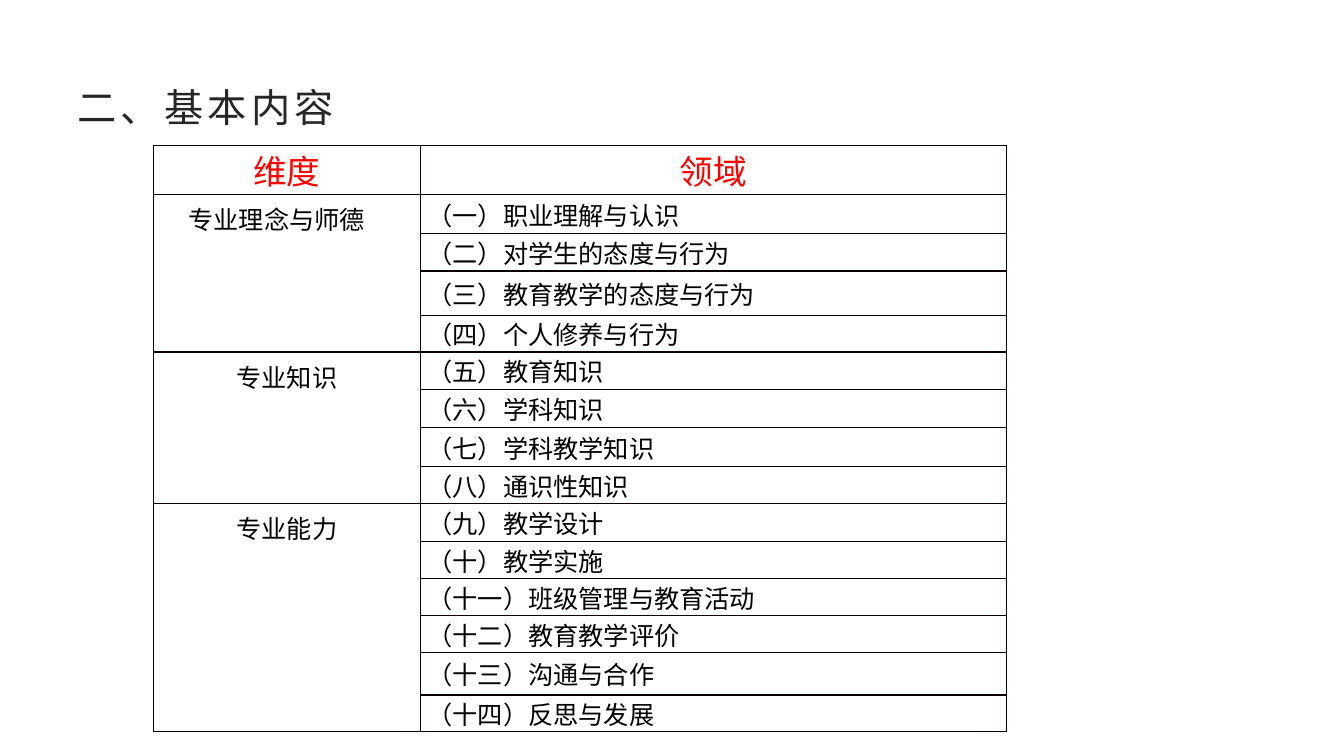
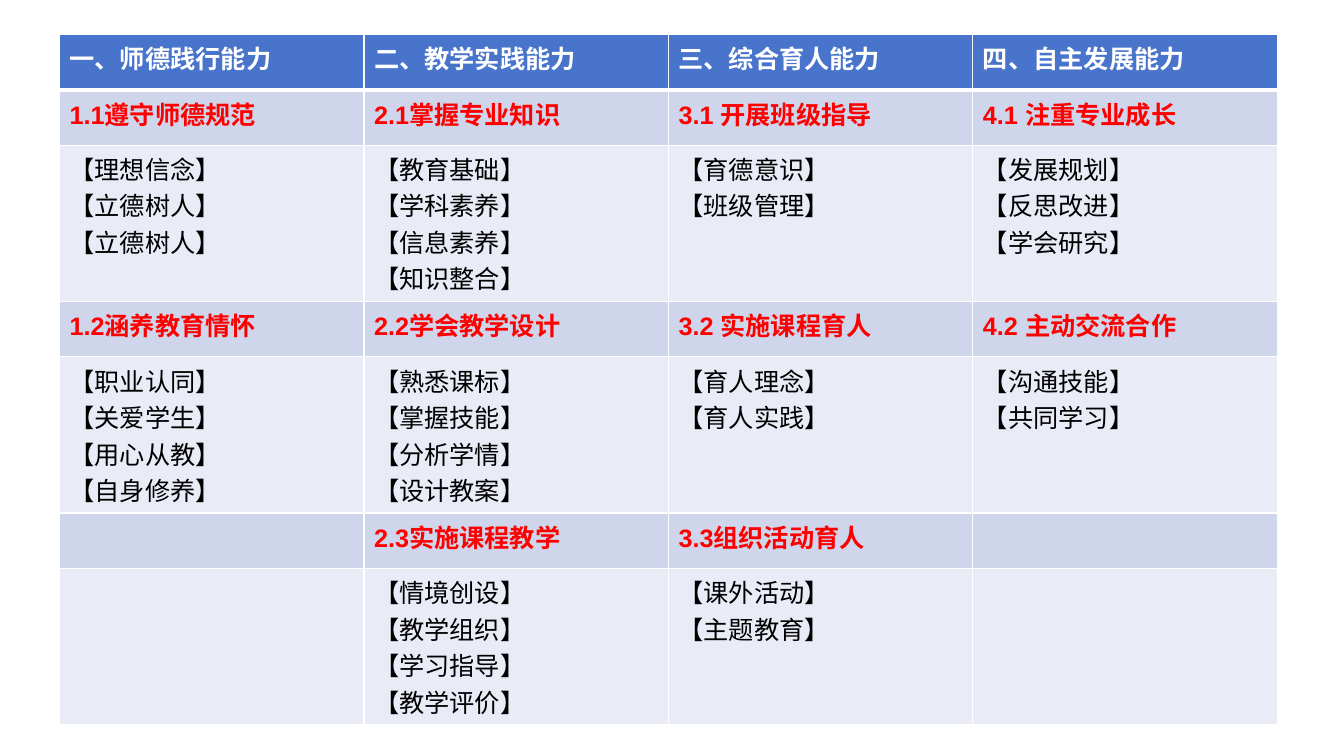
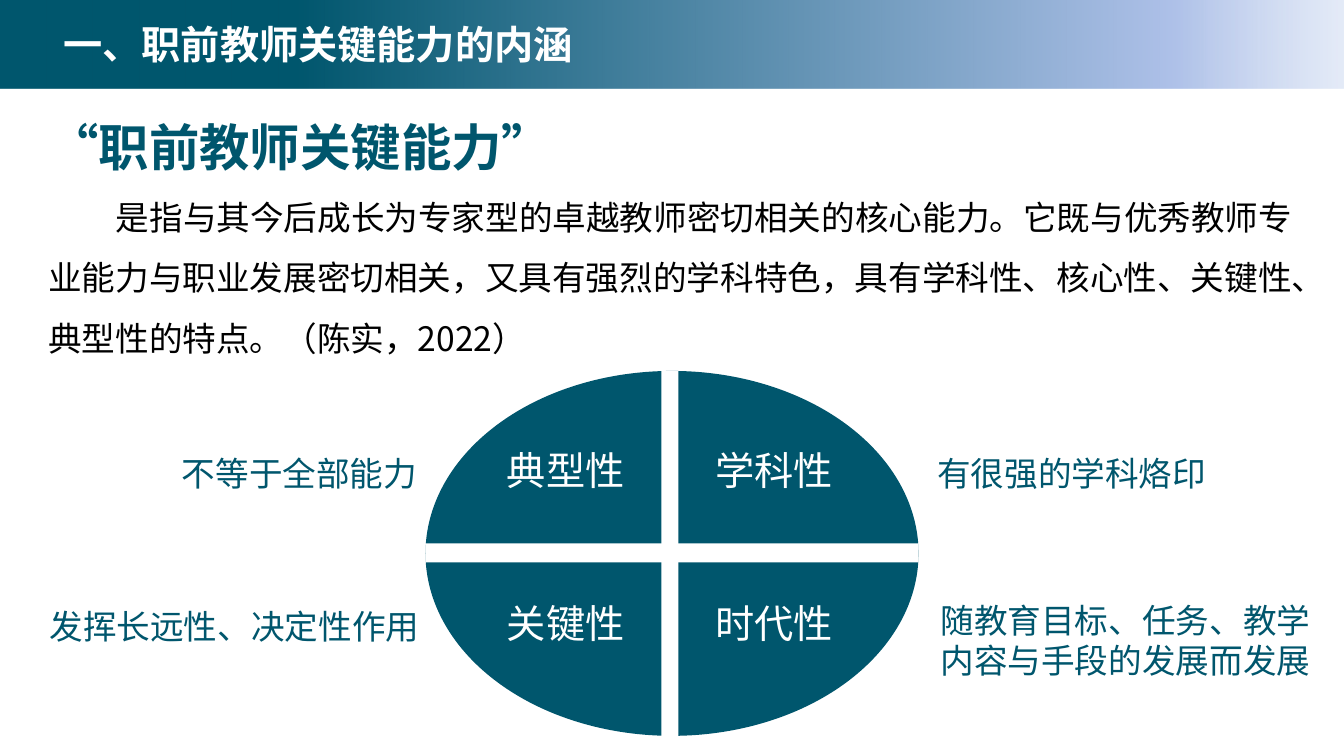
from dataclasses import dataclass

from pptx import Presentation
from pptx.dml.color import RGBColor
from pptx.enum.shapes import MSO_SHAPE
from pptx.enum.text import MSO_ANCHOR, MSO_AUTO_SIZE, PP_ALIGN
from pptx.oxml import parse_xml
from pptx.oxml.ns import nsdecls, qn
from pptx.util import Inches, Pt


@dataclass(frozen=True)
class Theme:
    latin: str = "Arial"
    chinese: str = "Noto Sans CJK SC"
    black: str = "000000"
    white: str = "FFFFFF"
    red: str = "FF0000"
    title: str = "262626"
    grid: str = "080000"
    teal: str = "00566D"
    header: str = "4874CB"
    band_dark: str = "CFD6EC"
    band_light: str = "E9EBF6"
    # position %, colour, opacity %
    gradient: tuple = ((0, "DAE3F5", 70), (13, "ADC0E8", 100), (78, "00566D", 100))
    cell_size: int = 18
    body_size: int = 24
    title_size: int = 28
    headline_size: int = 36


THEME = Theme()

DIMENSIONS = [
    ("专业理念与师德", ["职业理解与认识", "对学生的态度与行为", "教育教学的态度与行为", "个人修养与行为"]),
    ("专业知识", ["教育知识", "学科知识", "学科教学知识", "通识性知识"]),
    ("专业能力", ["教学设计", "教学实施", "班级管理与教育活动", "教育教学评价", "沟通与合作", "反思与发展"]),
]
NUMERALS = "一 二 三 四 五 六 七 八 九 十 十一 十二 十三 十四".split()
DIMENSION_ROWS = [0.49, 0.39, 0.37, 0.44, 0.36, 0.37, 0.38, 0.39, 0.36, 0.38, 0.37, 0.36, 0.37, 0.42, 0.36]

ABILITY_HEADERS = ["一、师德践行能力", "二、教学实践能力", "三、综合育人能力", "四、自主发展能力"]
ABILITIES = [
    [("1.1遵守师德规范", "理想信念 立德树人 立德树人"),
     ("2.1掌握专业知识", "教育基础 学科素养 信息素养 知识整合"),
     ("3.1 开展班级指导", "育德意识 班级管理"),
     ("4.1 注重专业成长", "发展规划 反思改进 学会研究")],
    [("1.2涵养教育情怀", "职业认同 关爱学生 用心从教 自身修养"),
     ("2.2学会教学设计", "熟悉课标 掌握技能 分析学情 设计教案"),
     ("3.2 实施课程育人", "育人理念 育人实践"),
     ("4.2 主动交流合作", "沟通技能 共同学习")],
    [("", ""),
     ("2.3实施课程教学", "情境创设 教学组织 学习指导 教学评价"),
     ("3.3组织活动育人", "课外活动 主题教育"),
     ("", "")],
]

DEFINITION = ("是指与其今后成长为专家型的卓越教师密切相关的核心能力。它既与优秀教师专业能力与职业发展密切相关，"
              "又具有强烈的学科特色，具有学科性、核心性、关键性、典型性的特点。（陈实，2022）")
TRAITS = [["典型性", "学科性"], ["关键性", "时代性"]]
TRAIT_NOTES = [
    ("不等于全部能力", 1.64, 4.44, 2.66, 0.5, PP_ALIGN.CENTER),
    ("有很强的学科烙印", 9, 4.44, 3.26, 0.5, PP_ALIGN.CENTER),
    ("发挥长远性、决定性作用", 0.1, 5.96, 4.45, 0.5, PP_ALIGN.CENTER),
    ("随教育目标、任务、教学内容与手段的发展而发展", 9.23, 5.9, 3.91, 0.91, PP_ALIGN.LEFT),
]


def write(frame, text, size=THEME.cell_size, color=THEME.black, bold=False, font=THEME.chinese,
          align=PP_ALIGN.LEFT, line_spacing=None, indent=0, tracking=0):
    """Add one paragraph per line of text, starting with the empty first one."""
    for line in text.split("\n"):
        first = frame.paragraphs[0]
        paragraph = frame.add_paragraph() if first.runs else first
        paragraph.alignment = align
        if line_spacing:
            paragraph.line_spacing = line_spacing
        if indent:
            properties = paragraph._p.get_or_add_pPr()
            properties.set("marL", "0")
            properties.set("indent", str(Inches(indent)))
        run = paragraph.add_run()
        run.text = line
        run.font.size = Pt(size)
        run.font.bold = bold
        run.font.color.rgb = RGBColor.from_string(color)
        run.font.name = font
        properties = run._r.get_or_add_rPr()
        properties.set("lang", "zh-CN")
        if tracking:
            properties.set("spc", str(tracking * 100))
        properties.find(qn("a:latin")).addnext(
            parse_xml(f'<a:ea {nsdecls("a")} typeface="{THEME.chinese}"/>'))


def add_slide(presentation, layout_name):
    return presentation.slides.add_slide(presentation.slide_layouts.get_by_name(layout_name))


def set_title(slide, text, left, top, width, height, margin_left=0.1, **text_format):
    title = slide.shapes.title
    title.left, title.top = Inches(left), Inches(top)
    title.width, title.height = Inches(width), Inches(height)
    frame = title.text_frame
    frame.auto_size = MSO_AUTO_SIZE.NONE
    frame.vertical_anchor = MSO_ANCHOR.MIDDLE
    frame.margin_left = Inches(margin_left)
    write(frame, text, size=THEME.title_size, **text_format)
    return title


def fill_gradient(shape):
    stops = "".join(
        f'<a:gs pos="{position * 1000}"><a:srgbClr val="{color}">'
        f'<a:alpha val="{opacity * 1000}"/></a:srgbClr></a:gs>'
        for position, color, opacity in THEME.gradient)
    shape._element.spPr.append(parse_xml(
        f'<a:gradFill {nsdecls("a")} rotWithShape="1"><a:gsLst>{stops}</a:gsLst>'
        '<a:lin ang="10800000" scaled="0"/></a:gradFill>'))


def add_text(slide, text, left, top, width, height, **text_format):
    box = slide.shapes.add_textbox(Inches(left), Inches(top), Inches(width), Inches(height))
    box.text_frame.word_wrap = True
    write(box.text_frame, text, **text_format)
    return box


def add_plain_shape(shapes, preset, left, top, width, height, color):
    shape = shapes.add_shape(preset, Inches(left), Inches(top), Inches(width), Inches(height))
    shape.shadow.inherit = False
    shape.fill.solid()
    shape.fill.fore_color.rgb = RGBColor.from_string(color)
    shape.line.fill.background()


def add_grid(slide, left, top, widths, heights):
    """Add a table without banding and size its columns and rows."""
    table = slide.shapes.add_table(len(heights), len(widths), Inches(left), Inches(top),
                                   Inches(sum(widths)), Inches(sum(heights))).table
    table.first_row = table.horz_banding = False
    for column, width in zip(table.columns, widths):
        column.width = Inches(width)
    for row, height in zip(table.rows, heights):
        row.height = Inches(height)
    return table


def style_cell(cell, border, fill=None, **border_widths):
    """Set borders (1 pt unless a side such as B is given) and the fill."""
    properties = cell._tc.get_or_add_tcPr()
    for side in "LRTB":
        properties.append(parse_xml(
            f'<a:ln{side} {nsdecls("a")} w="{Pt(border_widths.get(side, 1))}">'
            f'<a:solidFill><a:srgbClr val="{border}"/></a:solidFill></a:ln{side}>'))
    if fill:
        cell.fill.solid()
        cell.fill.fore_color.rgb = RGBColor.from_string(fill)
    else:
        cell.fill.background()


def write_cell(cell, text, anchor=MSO_ANCHOR.MIDDLE, margin_left=0.07, margin_top=0, **text_format):
    cell.vertical_anchor = anchor
    cell.margin_left, cell.margin_right = Inches(margin_left), Inches(0.07)
    cell.margin_top, cell.margin_bottom = Inches(margin_top), 0
    write(cell.text_frame, text, **text_format)


def build_dimensions(presentation):
    slide = add_slide(presentation, "Title Only")
    set_title(slide, "二、基本内容", 0.67, 0.67, 12, 0.77,
              color=THEME.title, font=THEME.latin, tracking=3)
    table = add_grid(slide, 1.52, 1.44, [2.65, 5.81], DIMENSION_ROWS)
    for cell in table.iter_cells():
        style_cell(cell, THEME.grid)
    for column, heading in enumerate(["维度", "领域"]):
        write_cell(table.cell(0, column), heading, size=THEME.body_size,
                   color=THEME.red, align=PP_ALIGN.CENTER)
    row = 1
    for index, (dimension, fields) in enumerate(DIMENSIONS):
        label = table.cell(row, 0)
        label.merge(table.cell(row + len(fields) - 1, 0))
        placing = {"align": PP_ALIGN.CENTER} if index else {"margin_left": 0.35}
        write_cell(label, dimension, anchor=MSO_ANCHOR.TOP, margin_top=0.06, **placing)
        for field in fields:
            write_cell(table.cell(row, 1), f"（{NUMERALS[row - 1]}）{field}")
            row += 1


def build_abilities(presentation):
    slide = add_slide(presentation, "Blank")
    table = add_grid(slide, 0.59, 0.34, [3.02] * 4, [0.55] + [0.55, 1.55] * len(ABILITIES))

    def fill_cell(row, column, text, fill, color, bold, **border_widths):
        cell = table.cell(row, column)
        style_cell(cell, THEME.white, fill, **border_widths)
        if text:
            write(cell.text_frame, text, color=color, bold=bold, font=THEME.latin)

    for column, heading in enumerate(ABILITY_HEADERS):
        fill_cell(0, column, heading, THEME.header, THEME.white, True, B=3)
    for index, group in enumerate(ABILITIES):
        row = 1 + 2 * index
        for column, (heading, items) in enumerate(group):
            details = "\n".join(f"【{item}】" for item in items.split())
            top_border = 1 if index else 3
            fill_cell(row, column, heading, THEME.band_dark, THEME.red, True, T=top_border)
            fill_cell(row + 1, column, details, THEME.band_light, THEME.black, False)


def build_meaning(presentation):
    slide = add_slide(presentation, "Title Only")
    band = set_title(slide, "一、职前教师关键能力的内涵", 0, -0.02, 13.33, 0.9,
                     margin_left=0.63, color=THEME.white, bold=True)
    fill_gradient(band)

    definition = add_text(slide, "“职前教师关键能力”", 0.38, 0.8, 12.58, 3.23,
                          size=THEME.headline_size, color=THEME.teal, bold=True, line_spacing=1.5)
    write(definition.text_frame, DEFINITION, size=THEME.body_size, line_spacing=1.5, indent=0.67)

    wheel = slide.shapes.add_group_shape().shapes
    add_plain_shape(wheel, MSO_SHAPE.OVAL, 4.22, 3.68, 4.89, 3.62, THEME.teal)
    add_plain_shape(wheel, MSO_SHAPE.RECTANGLE, 4.22, 5.39, 4.89, 0.19, THEME.white)
    add_plain_shape(wheel, MSO_SHAPE.RECTANGLE, 6.56, 3.68, 0.17, 3.62, THEME.white)

    for row, traits in enumerate(TRAITS):
        for column, trait in enumerate(traits):
            add_text(slide, trait, 4.74 + 2.07 * column, 4.38 + 1.52 * row, 1.74, 0.57,
                     size=THEME.title_size, color=THEME.white, font=THEME.latin,
                     align=PP_ALIGN.CENTER)
    for note, left, top, width, height, align in TRAIT_NOTES:
        add_text(slide, note, left, top, width, height,
                 size=THEME.body_size, color=THEME.teal, align=align)


def main():
    presentation = Presentation()
    presentation.slide_width, presentation.slide_height = Inches(13.33), Inches(7.5)
    build_dimensions(presentation)
    build_abilities(presentation)
    build_meaning(presentation)
    presentation.save("out.pptx")


if __name__ == "__main__":
    main()
